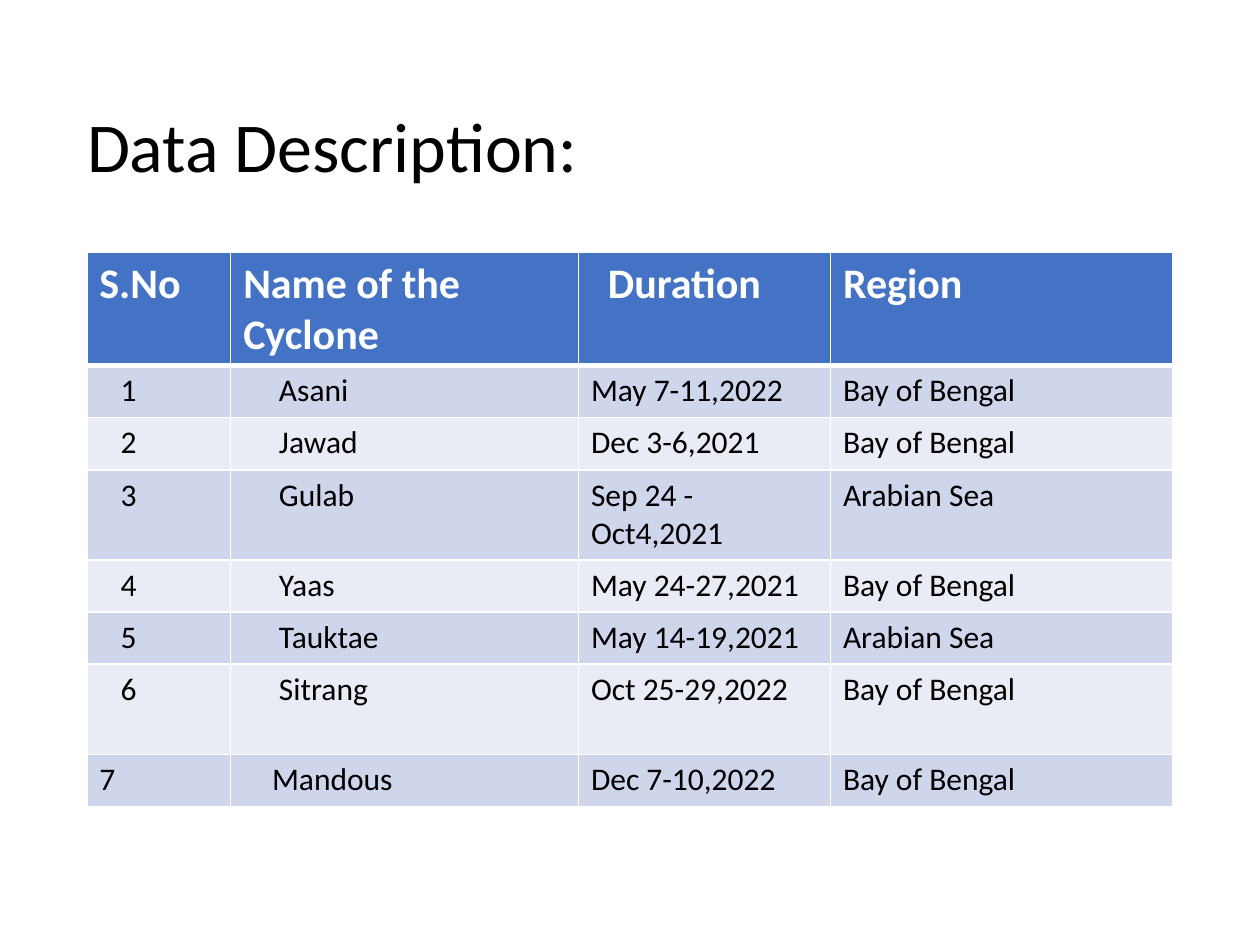
import pptx
import pptx.dml.color
import pptx.enum.text
import pptx.oxml
import pptx.oxml.ns
import pptx.util
from pptx.util import Cm

WHITE = pptx.dml.color.RGBColor(0xFF, 0xFF, 0xFF)
BLACK = pptx.dml.color.RGBColor(0x00, 0x00, 0x00)
HEADER_BLUE = pptx.dml.color.RGBColor(0x44, 0x72, 0xC4)
BANDS = (
    pptx.dml.color.RGBColor(0xCF, 0xD5, 0xEA),
    pptx.dml.color.RGBColor(0xE9, 0xEB, 0xF5),
)

HEADINGS = ("S.No", "Name of the Cyclone", "Duration", "Region")
CYCLONES = (
    ("Asani", "May 7-11,2022", "Bay of Bengal"),
    ("Jawad", "Dec 3-6,2021", "Bay of Bengal"),
    ("Gulab", "Sep 24 - Oct4,2021", "Arabian Sea"),
    ("Yaas", "May 24-27,2021", "Bay of Bengal"),
    ("Tauktae", "May 14-19,2021", "Arabian Sea"),
    ("Sitrang", "Oct 25-29,2022", "Bay of Bengal"),
    ("Mandous", "Dec 7-10,2022", "Bay of Bengal"),
)
COLUMN_WIDTHS = (2.9, 7.01, 5.08, 6.91)
ROW_HEIGHTS = (2.29, 1.05, 1.05, 1.82, 1.05, 1.05, 1.82, 1.05)
HEADER_INDENTS = (0, 0, 0.34, 0)
BODY_INDENTS = (0.43, 0.72, 0, 0)
LAST_INDENTS = (0, 0.58, 0, 0)


def write_text(frame, text, size=18, color=BLACK, bold=False, indent=0):
    """Fill a text frame with one left-aligned, formatted paragraph."""
    paragraph = frame.paragraphs[0]
    paragraph.alignment = pptx.enum.text.PP_ALIGN.LEFT
    if indent:
        paragraph._p.get_or_add_pPr().set("marL", str(Cm(indent)))
    run = paragraph.add_run()
    run.text = text
    run.font.name = "Calibri"
    run.font.size = pptx.util.Pt(size)
    run.font.bold = bold
    run.font.color.rgb = color


def add_border(cell, side, width):
    """Draw one white edge of a cell, with its width in points."""
    cell._tc.get_or_add_tcPr().append(pptx.oxml.parse_xml(
        f'<a:ln{side} {pptx.oxml.ns.nsdecls("a")} w="{pptx.util.Pt(width)}">'
        f'<a:solidFill><a:srgbClr val="{WHITE}"/></a:solidFill></a:ln{side}>'
    ))


def style_cell(cell, fill, top=1, bottom=1):
    """Give a cell its borders and fill."""
    for side, width in (("L", 1), ("R", 1), ("T", top), ("B", bottom)):
        add_border(cell, side, width)
    cell.fill.solid()
    cell.fill.fore_color.rgb = fill


def add_title(slide, text):
    """Place the slide title at the upper left."""
    title = slide.shapes.title
    title.left, title.top, title.width, title.height = Cm(1.5), Cm(1.93), Cm(10.41), Cm(1.96)
    title.text_frame.word_wrap = False
    title.text_frame.auto_size = pptx.enum.text.MSO_AUTO_SIZE.SHAPE_TO_FIT_TEXT
    write_text(title.text_frame, text, size=40)


def add_cyclone_table(slide):
    """Build the numbered table of cyclones under its header row."""
    table = slide.shapes.add_table(
        len(ROW_HEIGHTS), len(COLUMN_WIDTHS), Cm(1.75), Cm(5.08),
        Cm(sum(COLUMN_WIDTHS)), Cm(sum(ROW_HEIGHTS)),
    ).table
    for column, width in zip(table.columns, COLUMN_WIDTHS):
        column.width = Cm(width)
    for row, height in zip(table.rows, ROW_HEIGHTS):
        row.height = Cm(height)
    for column, (heading, indent) in enumerate(zip(HEADINGS, HEADER_INDENTS)):
        cell = table.cell(0, column)
        style_cell(cell, HEADER_BLUE, bottom=3)
        write_text(cell.text_frame, heading, size=24, color=WHITE, bold=True, indent=indent)
    for number, cyclone in enumerate(CYCLONES, start=1):
        indents = LAST_INDENTS if number == len(CYCLONES) else BODY_INDENTS
        for column, value in enumerate((str(number), *cyclone)):
            cell = table.cell(number, column)
            style_cell(cell, BANDS[(number - 1) % 2], top=3 if number == 1 else 1)
            write_text(cell.text_frame, value, indent=indents[column])


def main():
    """Create the data description slide and save it."""
    presentation = pptx.Presentation()
    presentation.slide_width, presentation.slide_height = Cm(25.4), Cm(19.05)
    slide = presentation.slides.add_slide(presentation.slide_layouts[5])
    add_cyclone_table(slide)
    add_title(slide, "Data Description:")
    presentation.save("out.pptx")


if __name__ == "__main__":
    main()
